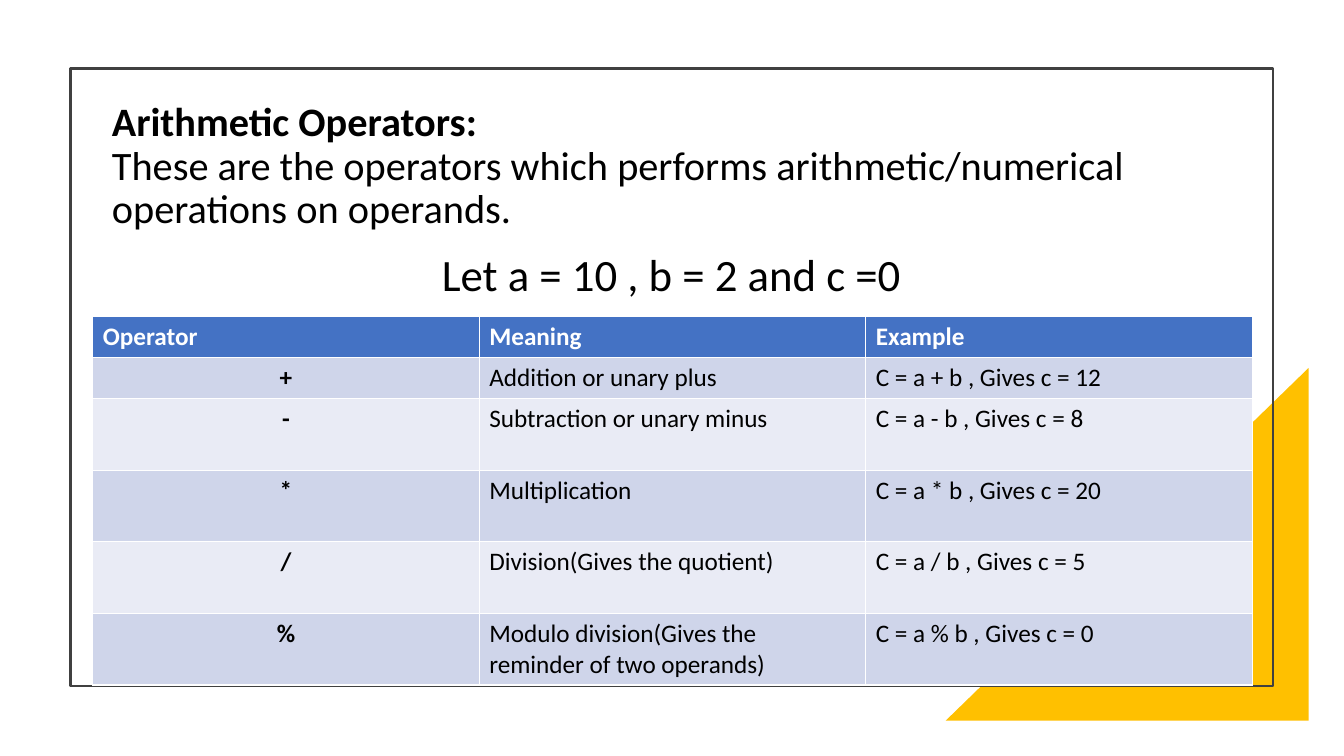
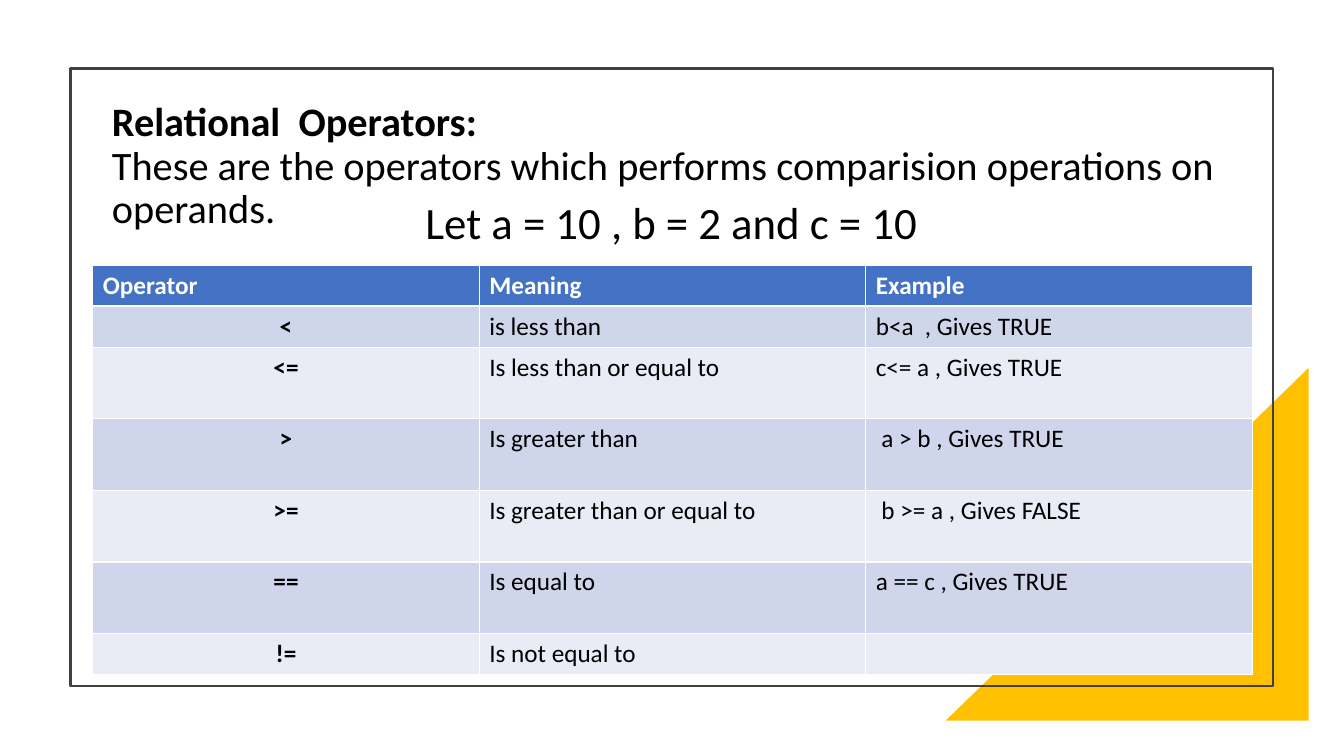
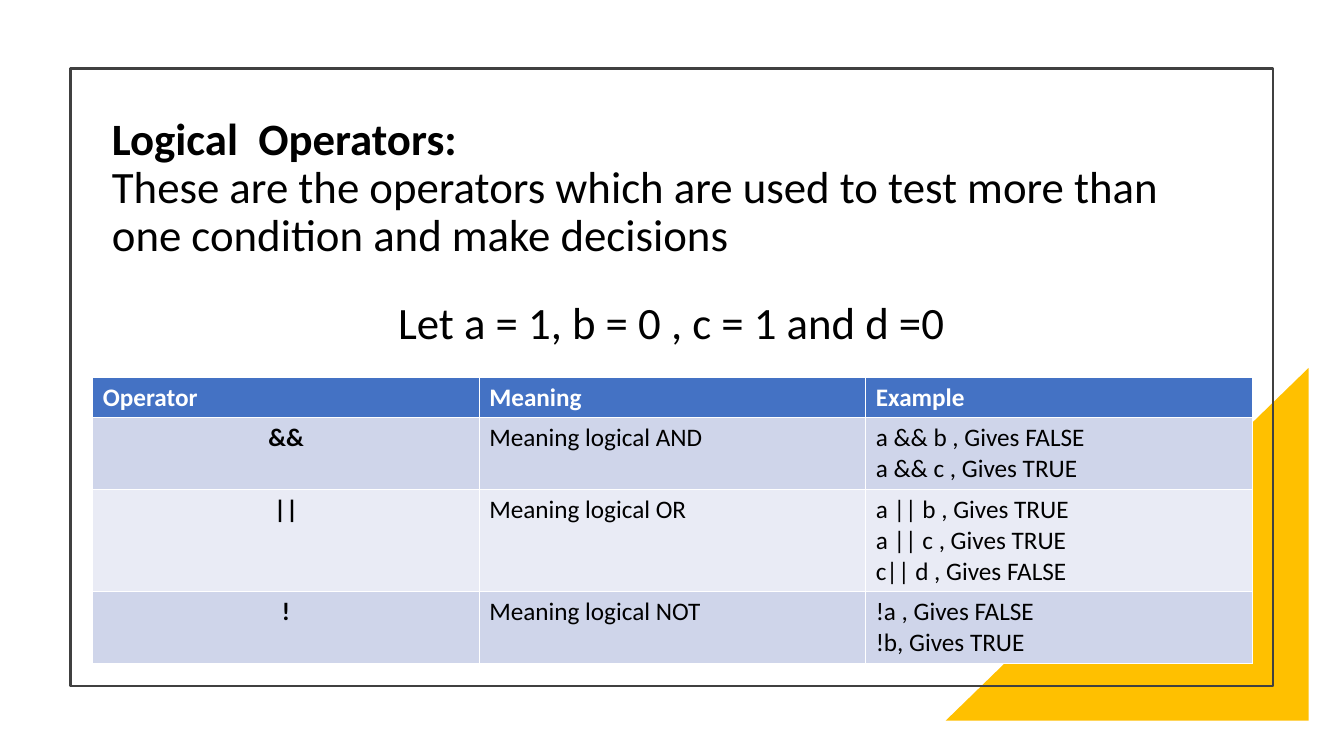
import pptx
import pptx.dml.color
import pptx.enum.shapes
import pptx.enum.text
import pptx.util

Inches = pptx.util.Inches
Pt = pptx.util.Pt
SHAPE = pptx.enum.shapes.MSO_SHAPE
ALIGN = pptx.enum.text.PP_ALIGN
ANCHOR = pptx.enum.text.MSO_ANCHOR
FIT = pptx.enum.text.MSO_AUTO_SIZE

FONT = "Calibri"
BLACK, WHITE, GREY, GOLD = "000000", "FFFFFF", "404040", "FFC000"
HEAD, BANDS = "4472C4", ("CFD5EA", "E9EBF5")
FRAME = (0.7, 0.68, 11.93, 6.13)
CORNER = (9.38, 3.65, 3.6, 3.5)
TITLE = (1.01, 0.99, 11.3, 1.77)
COLS = ("Operator", "Meaning", "Example")
ONE, TWO, THREE = 0.41, 0.71, 1.01  # row heights by lines of text

SLIDES = [
    {
        "title": "Arithmetic Operators:",
        "text": "These are the operators which performs arithmetic/numerical operations on operands.",
        "size": 28.8, "lift": 0.43,
        "given": "Let a = 10 , b = 2 and c =0", "top": 2.4, "table": 3.14,
        "rows": [
            (ONE, "+", "Addition or unary plus", "C = a + b , Gives c = 12"),
            (TWO, "-", "Subtraction or unary minus", "C = a - b , Gives c = 8"),
            (TWO, "*", "Multiplication", "C = a * b , Gives c = 20"),
            (TWO, "/", "Division(Gives the quotient)", "C = a / b , Gives c = 5"),
            (TWO, "%", "Modulo division(Gives the reminder of two operands)",
             "C = a % b , Gives c = 0"),
        ],
    },
    {
        "title": "Relational  Operators:",
        "text": "These are the operators which performs comparision operations on operands.",
        "size": 28.8, "lift": 0.43,
        "given": "Let a = 10 , b = 2 and c = 10", "top": 1.88, "table": 2.63,
        "rows": [
            (ONE, "<", "is less than", "b<a  , Gives TRUE"),
            (TWO, "<=", "Is less than or equal to", "c<= a , Gives TRUE"),
            (TWO, ">", "Is greater than", " a > b , Gives TRUE"),
            (TWO, ">=", "Is greater than or equal to", " b >= a , Gives FALSE"),
            (TWO, "==", "Is equal to", "a == c , Gives TRUE"),
            (ONE, "!=", "Is not equal to", ""),
        ],
    },
    {
        "title": "Logical  Operators:",
        "text": "These are the operators which are used to test more than one condition and make decisions",
        "size": 32, "lift": 0,
        "given": "Let a = 1, b = 0 , c = 1 and d =0", "top": 2.87, "table": 3.74,
        "rows": [
            (TWO, "&&", "Meaning logical AND",
             "a && b , Gives FALSE\na && c , Gives TRUE"),
            (THREE, "||", "Meaning logical OR",
             "a || b , Gives TRUE\na || c , Gives TRUE\nc|| d , Gives FALSE"),
            (TWO, "!", "Meaning logical NOT", "!a , Gives FALSE\n!b, Gives TRUE"),
        ],
    },
]


def rgb(code):
    return pptx.dml.color.RGBColor.from_string(code)


def paint(part, code):
    part.fill.solid()
    part.fill.fore_color.rgb = rgb(code)


def style(para, size, code=BLACK, bold=None, align=ALIGN.LEFT):
    para.alignment = align
    font = para.font
    font.name, font.size, font.bold = FONT, Pt(size), bold
    font.color.rgb = rgb(code)


def add_frame(slide):
    """Gold corner with the thin outline over it."""
    corner = slide.shapes.add_shape(SHAPE.RIGHT_TRIANGLE, *map(Inches, CORNER))
    corner.shadow.inherit = False
    paint(corner, GOLD)
    corner.line.fill.background()
    corner._element.spPr.xfrm.set("flipH", "1")
    frame = slide.shapes.add_shape(SHAPE.RECTANGLE, *map(Inches, FRAME))
    frame.shadow.inherit = False
    frame.fill.background()
    frame.line.color.rgb = rgb(GREY)
    frame.line.width = Pt(1.5)


def set_title(slide, box, data):
    title = slide.shapes.title
    title.left, title.top, title.width, title.height = map(Inches, box)
    frame = title.text_frame
    frame.word_wrap = True
    frame.auto_size = FIT.NONE
    frame.vertical_anchor = ANCHOR.MIDDLE
    frame.margin_bottom = Inches(0.05 + data["lift"])
    para = frame.paragraphs[0]
    style(para, data["size"])
    para.line_spacing = 0.9
    head = para.add_run()
    head.text, head.font.bold = data["title"], True
    para.add_line_break()
    para.add_run().text = data["text"]


def add_given(slide, box, text):
    frame = slide.shapes.add_textbox(*map(Inches, box)).text_frame
    frame.word_wrap = True
    frame.auto_size = FIT.SHAPE_TO_FIT_TEXT
    frame.text = text
    style(frame.paragraphs[0], 32, align=ALIGN.CENTER)


def add_grid(slide, left, top, width, rows):
    """Operator table; each row is its height and then its cells."""
    rows = [(0.4, *COLS), *rows]
    high = sum(row[0] for row in rows)
    grid = slide.shapes.add_table(
        len(rows), len(COLS), *map(Inches, (left, top, width, high))).table
    for r, (tall, *cells) in enumerate(rows):
        grid.rows[r].height = Inches(tall)
        for c, text in enumerate(cells):
            cell = grid.cell(r, c)
            cell.text = text
            paint(cell, BANDS[(r - 1) % 2] if r else HEAD)
            align = ALIGN.CENTER if r and c == 0 else ALIGN.LEFT
            for para in cell.text_frame.paragraphs:
                style(para, 18, BLACK if r else WHITE, r == 0 or c == 0, align)


def add_page(deck, data):
    slide = deck.slides.add_slide(deck.slide_layouts[5])
    add_frame(slide)
    set_title(slide, TITLE, data)
    add_grid(slide, 0.92, data["table"], 11.5, data["rows"])
    add_given(slide, (2.71, data["top"], 7.9, 0.64), data["given"])


def main():
    deck = pptx.Presentation()
    deck.slide_width, deck.slide_height = Inches(13.33), Inches(7.5)
    for data in SLIDES:
        add_page(deck, data)
    deck.save("out.pptx")


if __name__ == "__main__":
    main()
